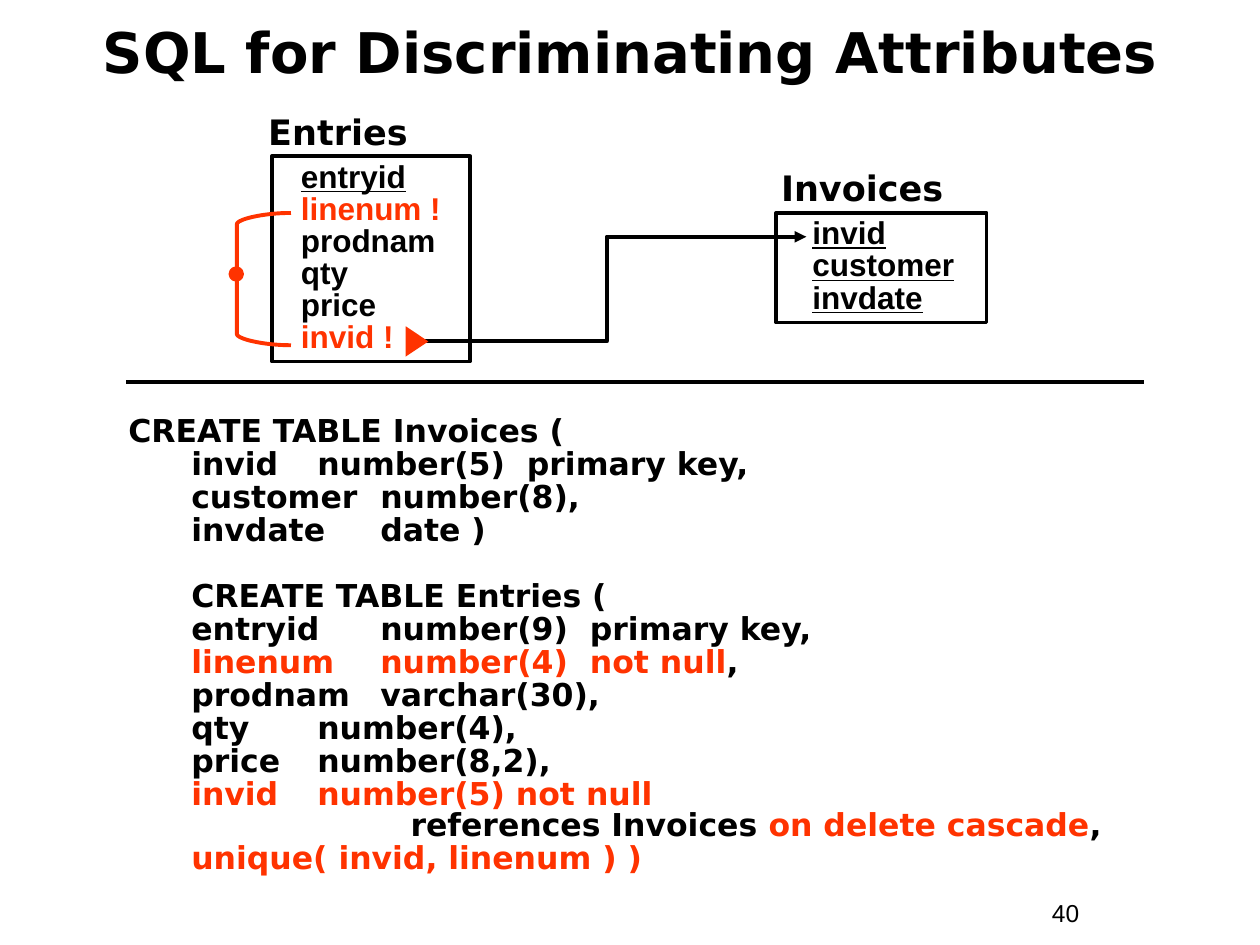
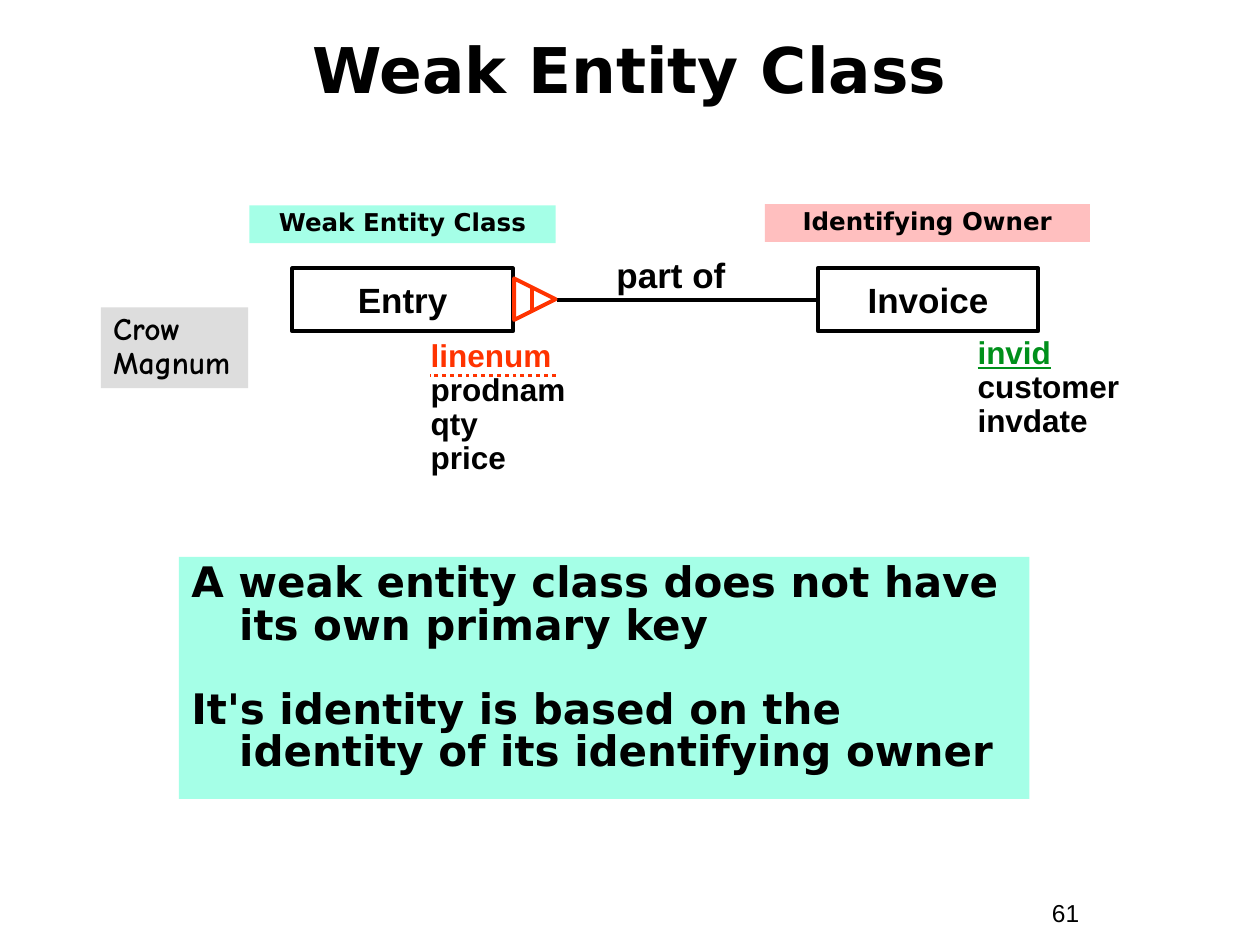
import pptx
import pptx.dml.color
import pptx.enum.dml
import pptx.enum.shapes
import pptx.enum.text
import pptx.oxml
import pptx.oxml.ns
import pptx.util
from lxml import etree

Inches = pptx.util.Inches
Pt = pptx.util.Pt
RGBColor = pptx.dml.color.RGBColor
Shape = pptx.enum.shapes.MSO_SHAPE
Connector = pptx.enum.shapes.MSO_CONNECTOR
Align = pptx.enum.text.PP_ALIGN
Anchor = pptx.enum.text.MSO_ANCHOR
qn = pptx.oxml.ns.qn

BLACK = RGBColor(0x00, 0x00, 0x00)
RED = RGBColor(0xFF, 0x33, 0x00)
GREEN = RGBColor(0x00, 0x90, 0x1B)
MINT = RGBColor(0xA5, 0xFF, 0xE7)
PINK = RGBColor(0xFF, 0xBF, 0xBF)
GRAY = RGBColor(0xDD, 0xDD, 0xDD)

HEADING_FONT = "DejaVu Sans"
BODY_FONT = "Arial"
NOTE_FONT = "Comic Neue"
LINE_WIDTH = Pt(2.25)

CODE_LINES = [
    "invid\tnumber(5)  primary key,",
    "customer\tnumber(8),",
    "invdate\tdate )",
    "CREATE TABLE Entries (",
    "entryid\tnumber(9)  primary key,",
    [("linenum\tnumber(4)  not null", RED), (",", BLACK)],
    "prodnam\tvarchar(30),",
    "qty\t\tnumber(4),",
    "price\tnumber(8,2),",
    [("invid\tnumber(5) not null\n                    ", RED),
     ("references Invoices", BLACK), (" on delete cascade", RED), (",", BLACK)],
    [("unique( invid, linenum ) )", RED)],
]


def write_paragraph(shape, text, size=18, font=BODY_FONT, color=BLACK, bold=True,
                    underline=False, align=Align.LEFT, spacing=None, before=0,
                    indent=0, hanging=0, tabs=()):
    """Write one paragraph, given as a string or as (text, color) runs."""
    frame = shape.text_frame
    paragraph = frame.paragraphs[0]
    if paragraph.runs:
        paragraph = frame.add_paragraph()
    properties = paragraph._p.get_or_add_pPr()
    properties.set("marL", str(Inches(indent)))
    properties.set("indent", str(-Inches(hanging)))
    if tabs:
        tab_list = etree.SubElement(properties, qn("a:tabLst"))
        for position in tabs:
            etree.SubElement(tab_list, qn("a:tab"), pos=str(Inches(position)), algn="l")
    paragraph.alignment = align
    paragraph.space_before = Pt(before)
    if spacing:
        paragraph.line_spacing = spacing
    for run_text, run_color in [(text, color)] if isinstance(text, str) else text:
        for number, piece in enumerate(run_text.split("\n")):
            if number:
                paragraph.add_line_break()
            run = paragraph.add_run()
            run.text = piece
            run.font.name = font
            run.font.size = Pt(size)
            run.font.bold = bold
            run.font.underline = underline
            run.font.color.rgb = run_color


def add_text(slide, left, top, width, height, anchor=Anchor.TOP):
    """Add an empty wrapping text box."""
    box = slide.shapes.add_textbox(Inches(left), Inches(top), Inches(width), Inches(height))
    box.text_frame.word_wrap = True
    box.text_frame.vertical_anchor = anchor
    return box


def paint(shape, fill=None, line=None):
    """Set the fill and outline of a shape, and drop its shadow."""
    shape.shadow.inherit = False
    if fill is None:
        shape.fill.background()
    else:
        shape.fill.solid()
        shape.fill.fore_color.rgb = fill
    if line is None:
        shape.line.fill.background()
    else:
        shape.line.color.rgb = line
        shape.line.width = LINE_WIDTH


def add_shape(slide, kind, left, top, width, height, fill=None, line=None,
              anchor=Anchor.TOP, rotation=0):
    """Add a preset shape."""
    shape = slide.shapes.add_shape(
        kind, Inches(left), Inches(top), Inches(width), Inches(height))
    paint(shape, fill, line)
    shape.rotation = rotation
    shape.text_frame.word_wrap = True
    shape.text_frame.vertical_anchor = anchor
    return shape


def add_line(slide, start, end, color=BLACK, kind=Connector.STRAIGHT, dash=None, arrow=False):
    """Add a connector between two points."""
    connector = slide.shapes.add_connector(kind, *map(Inches, start + end))
    connector.line.color.rgb = color
    connector.line.width = LINE_WIDTH
    if dash:
        connector.line.dash_style = dash
    if arrow:
        etree.SubElement(connector.line._get_or_add_ln(), qn("a:tailEnd"), type="triangle")
    etree.SubElement(connector._element.spPr, qn("a:effectLst"))
    return connector


def add_bracket(slide, left, right, top, bottom):
    """Add the round-cornered bracket that joins two attributes."""
    steps = 16
    controls = [(right, top), (right - 0.22, top), (left, top + 0.05), (left, top + 0.09)]
    curve = []
    for step in range(steps + 1):
        t = step / steps
        weights = [(1 - t) ** 3, 3 * t * (1 - t) ** 2, 3 * t * t * (1 - t), t ** 3]
        curve.append(tuple(sum(weight * point[axis] for weight, point in zip(weights, controls))
                           for axis in (0, 1)))
    curve += [(x, top + bottom - y) for x, y in reversed(curve)]
    points = [(Inches(x), Inches(y)) for x, y in curve]
    builder = slide.shapes.build_freeform(*points[0])
    builder.add_line_segments(points[1:], close=False)
    paint(builder.convert_to_shape(), line=RED)


def add_base(presentation, title, frame, size, number):
    """Add a blank slide with its title and slide number."""
    slide = presentation.slides.add_slide(presentation.slide_layouts[6])
    write_paragraph(add_text(slide, 8.25, 7.08, 0.92, 0.34), number, size=14, bold=False)
    write_paragraph(add_text(slide, *frame, anchor=Anchor.MIDDLE), title, size=size,
                    font=HEADING_FONT, align=Align.CENTER)
    return slide


def add_table_box(slide, name, name_at, frame, attributes, indent):
    """Add a named box of (attribute, color, underline) lines."""
    write_paragraph(add_text(slide, *name_at, 2.15, 0.44), name, size=20, font=HEADING_FONT)
    box = add_shape(slide, Shape.RECTANGLE, *frame, line=BLACK)
    add_attributes(box, attributes, spacing=0.85, indent=indent)


def add_attributes(shape, attributes, **layout):
    """Write (attribute, color, underline) lines into a shape."""
    for text, color, underline in attributes:
        write_paragraph(shape, text, color=color, underline=underline, **layout)


def add_entity(slide, name, left):
    """Add an entity rectangle with a centred name."""
    box = add_shape(slide, Shape.RECTANGLE, left, 2.13, 1.75, 0.5, line=BLACK,
                    anchor=Anchor.MIDDLE)
    write_paragraph(box, name, size=20, align=Align.CENTER)
    return box


def add_tag(slide, text, frame, fill, **layout):
    """Add a filled label."""
    write_paragraph(add_shape(slide, Shape.RECTANGLE, *frame, fill=fill), text, **layout)


def build_sql_slide(presentation):
    """Build the slide on SQL for discriminating attributes."""
    slide = add_base(presentation, "SQL for Discriminating Attributes",
                     (0.17, 0.07, 9.67, 0.67), 32, "40")
    code = add_text(slide, 0.92, 3.27, 8.17, 3.74)
    style = dict(font=HEADING_FONT, spacing=0.82, tabs=range(1, 8))
    write_paragraph(code, "CREATE TABLE Invoices (", **style)
    for line in CODE_LINES:
        before = 20 if line == "CREATE TABLE Entries (" else 1.1
        write_paragraph(code, line, before=before, indent=0.5, **style)

    add_line(slide, (1, 3.03), (9.08, 3.03))
    add_table_box(slide, "Entries", (2.03, 0.83), (2.16, 1.24, 1.57, 1.63), [
        ("entryid", BLACK, True), ("linenum !", RED, False), ("prodnam", BLACK, False),
        ("qty", BLACK, False), ("price", BLACK, False), ("invid !", RED, False)], 0.13)
    add_table_box(slide, "Invoices", (6.1, 1.27), (6.16, 1.69, 1.67, 0.87), [
        (name, BLACK, True) for name in ("invid", "customer", "invdate")], 0.19)
    add_line(slide, (3.23, 2.71), (6.4, 1.88), kind=Connector.ELBOW, arrow=True)
    add_shape(slide, Shape.ISOSCELES_TRIANGLE, 3.19, 2.62, 0.24, 0.18, fill=RED, rotation=90)
    add_bracket(slide, 1.88, 2.31, 1.69, 2.74)
    add_shape(slide, Shape.OVAL, 1.83, 2.13, 0.09, 0.09, fill=RED, line=RED)


def build_weak_entity_slide(presentation):
    """Build the slide on weak entity classes."""
    slide = add_base(presentation, "Weak Entity Class", (0.33, 0.08, 9.33, 0.92), 36, "61")
    definition = add_shape(slide, Shape.RECTANGLE, 1.42, 4.42, 6.75, 1.92, fill=MINT)
    for text, before in [
            ("A weak entity class does not have its own primary key", 0),
            ("It's identity is based on the identity of its identifying owner", 23.4)]:
        write_paragraph(definition, text, size=24, font=HEADING_FONT, spacing=0.85,
                        before=before, indent=0.38, hanging=0.38)

    invoice = add_entity(slide, "Invoice", 6.49)
    add_entity(slide, "Entry", 2.32)
    relation = add_line(slide, (6.49, 2.38), (4.42, 2.38))
    relation.begin_connect(invoice, 1)
    write_paragraph(add_text(slide, 4.49, 1.96, 1.67, 0.44), "part of", size=20,
                    align=Align.CENTER)
    add_attributes(add_text(slide, 7.66, 2.63, 1.42, 0.91), [
        ("invid", GREEN, True), ("customer", BLACK, False), ("invdate", BLACK, False)],
        spacing=0.9)
    add_attributes(add_text(slide, 3.32, 2.65, 1.67, 1.18), [
        ("linenum", RED, False), ("prodnam", BLACK, False), ("qty", BLACK, False),
        ("price", BLACK, False)], spacing=0.9)
    add_line(slide, (4.41, 2.98), (3.41, 2.98), color=RED,
             dash=pptx.enum.dml.MSO_LINE.ROUND_DOT)
    add_shape(slide, Shape.FLOWCHART_EXTRACT, 4.08, 2.21, 0.33, 0.33, line=RED, rotation=90)
    add_line(slide, (4.22, 2.28), (4.22, 2.47), color=RED)

    role = dict(size=14, font=HEADING_FONT, align=Align.CENTER, spacing=0.85)
    add_tag(slide, "Weak Entity Class", (1.98, 1.63, 2.43, 0.3), MINT, **role)
    add_tag(slide, "Identifying Owner", (6.07, 1.62, 2.58, 0.3), PINK, **role)
    add_tag(slide, "Crow\nMagnum", (0.8, 2.44, 1.17, 0.64), GRAY, font=NOTE_FONT, spacing=0.9)


def main():
    """Build and save the presentation."""
    presentation = pptx.Presentation()
    presentation.slide_width = Inches(10)
    presentation.slide_height = Inches(7.5)
    build_sql_slide(presentation)
    build_weak_entity_slide(presentation)
    presentation.save("out.pptx")


if __name__ == "__main__":
    main()
